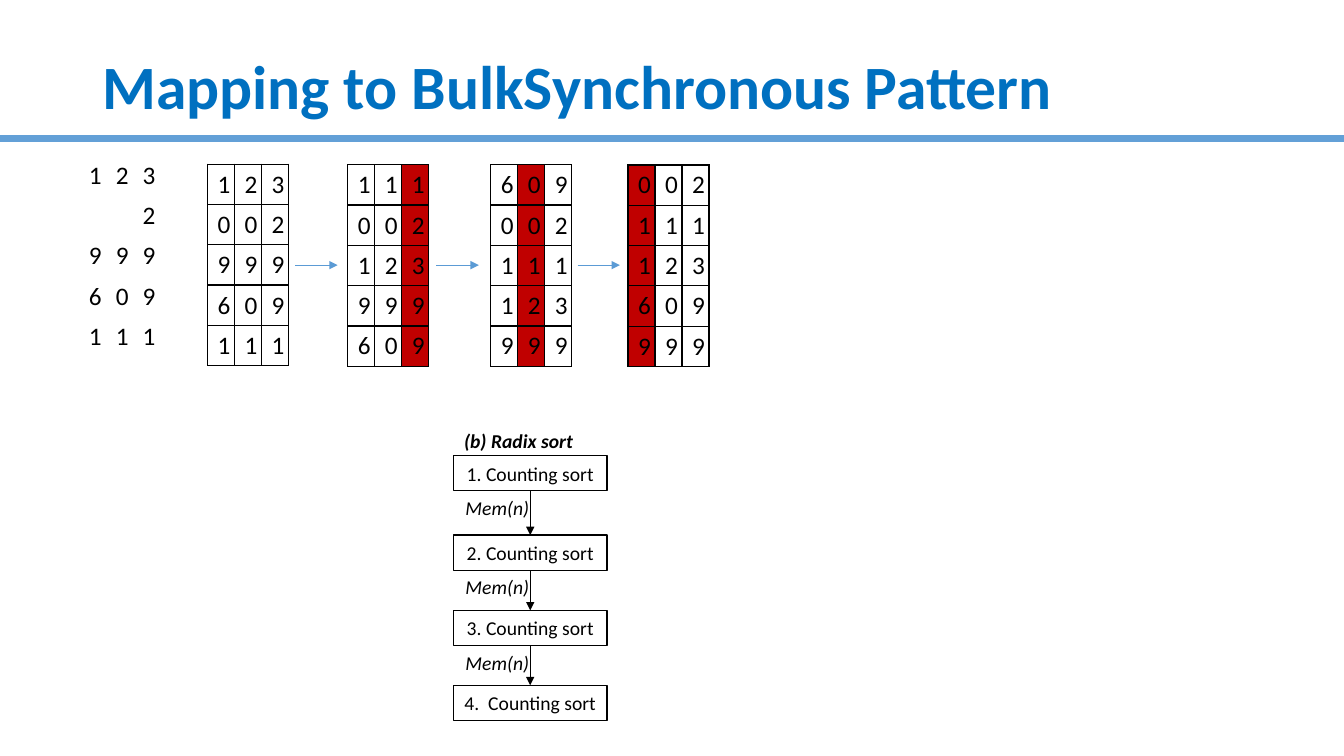
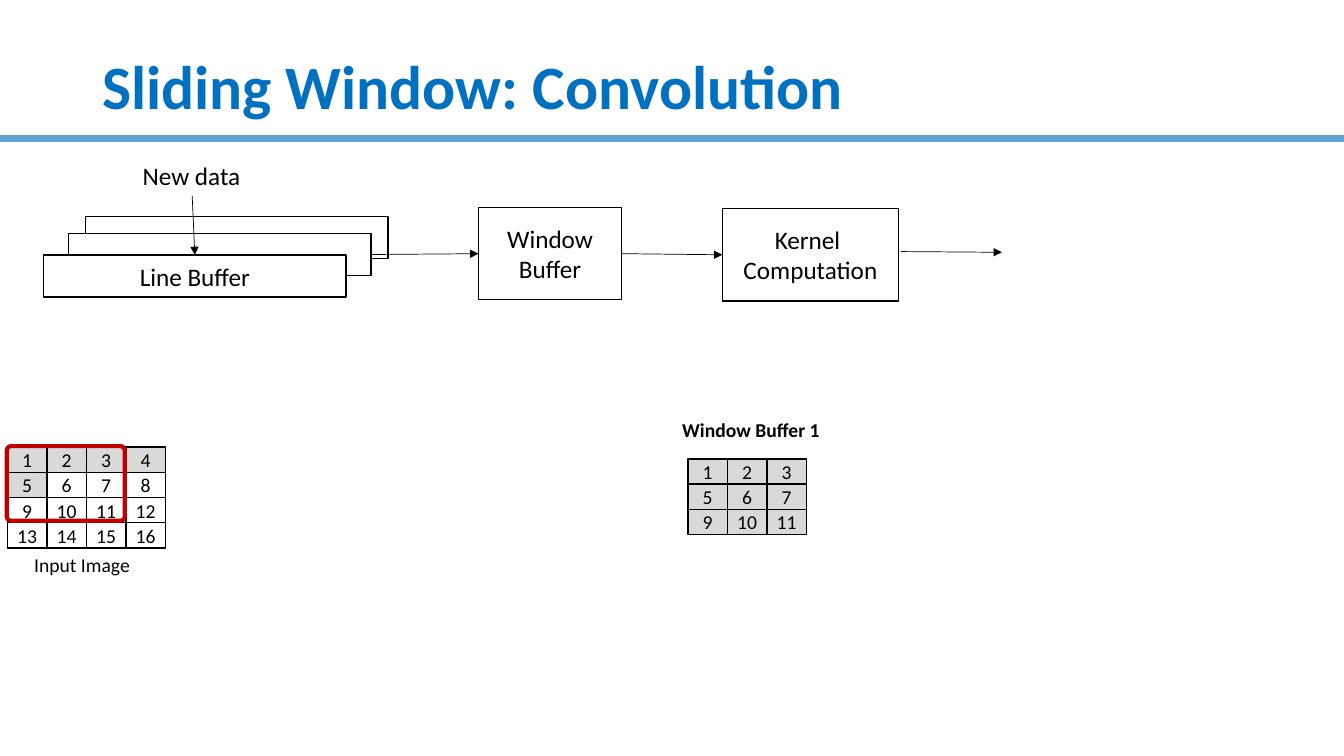
from pptx import Presentation
from pptx.dml.color import RGBColor
from pptx.enum import shapes, text
from pptx.oxml.ns import qn
from pptx.util import Pt
from lxml import etree

FONT = "Calibri"
BLACK, WHITE, GREY = "000000", "FFFFFF", "D9D9D9"
RED, BLUE, TITLE, BAND = "C00000", "5B9BD5", "0070C0", "63A0D7"
WIDTH, HEIGHT, BAND_Y = 960, 540, 99
RECT = shapes.MSO_SHAPE.RECTANGLE
TOP, LEFT, BOTTOM, RIGHT = range(4)

DIGIT_TABLES = [
    dict(rows=["123", "  2", "999", "609", "111"], x=56.2, y=110.9, borders=False),
    dict(rows=["123", "002", "999", "609", "111"], x=148.3, y=117.2),
    dict(rows=["111", "002", "123", "999", "609"], x=248.4, y=117.6, key=2),
    dict(rows=["609", "002", "111", "123", "999"], x=350.6, y=117.6, key=1),
    dict(rows=["002", "111", "123", "609", "999"], x=448.6, y=117.8, key=0),
]
DIGIT_W, DIGIT_H = 19.3, 28.8
ARROW_X, ARROW_STEP, ARROW_W, ARROW_Y = 211, 100.8, 30.2, 189.4

STEP_H = 25.2
STEPS = [
    ("1. Counting sort", 325.4),
    ("2. Counting sort", 382.2),
    ("3. Counting sort", 436),
    ("4.  Counting sort", 489.5),
]

LINE_BUFFERS = [("", 61.2, 154.6), ("", 49, 166.8), ("Line Buffer", 31.2, 182.2)]
IMAGE = [[1, 2, 3, 4], [5, 6, 7, 8], [9, 10, 11, 12], [13, 14, 15, 16]]
WINDOW = [row[:3] for row in IMAGE[:3]]
CELL_W, CELL_H = 28.2, 18


def rgb(value):
    return RGBColor.from_string(value)


def pts(*values):
    return [Pt(v) for v in values]


def style(p, size, color=BLACK, bold=False, italic=False):
    f = p.font
    f.name, f.size, f.bold, f.italic = FONT, Pt(size), bold, italic
    f.color.rgb = rgb(color)


def add_box(s, label, x, y, w, h, size=14, fill=None, line=BLACK, weight=1, kind=RECT):
    sp = s.shapes.add_shape(kind, *pts(x, y, w, h))
    sp.shadow.inherit = False
    if fill:
        sp.fill.solid()
        sp.fill.fore_color.rgb = rgb(fill)
    else:
        sp.fill.background()
    sp.line.color.rgb = rgb(line)
    sp.line.width = Pt(weight)
    tf = sp.text_frame
    tf.margin_left = tf.margin_right = tf.margin_top = tf.margin_bottom = 0
    tf.vertical_anchor = text.MSO_ANCHOR.MIDDLE
    tf.text = label
    for p in tf.paragraphs:
        p.alignment = text.PP_ALIGN.CENTER
        style(p, size)
    return sp


def add_label(s, label, x, y, w, h=24.5, size=14, **look):
    sp = s.shapes.add_textbox(*pts(x, y, w, h))
    tf = sp.text_frame
    tf.word_wrap = False
    tf.auto_size = text.MSO_AUTO_SIZE.SHAPE_TO_FIT_TEXT
    tf.text = label
    style(tf.paragraphs[0], size, **look)
    return sp


def add_line(s, x1, y1, x2, y2, color=BLACK, weight=0.5, arrow=True):
    c = s.shapes.add_connector(shapes.MSO_CONNECTOR.STRAIGHT, *pts(x1, y1, x2, y2))
    c.line.color.rgb = rgb(color)
    c.line.width = Pt(weight)
    if arrow:
        ln = c.element.spPr.find(qn("a:ln"))
        etree.SubElement(ln, qn("a:tailEnd"), type="triangle")
    etree.SubElement(c.element.spPr, qn("a:effectLst"))
    return c


def join(s, start, start_side, end, end_side, weight=0.5):
    c = add_line(s, 0, 0, 0, 0, weight=weight)
    c.begin_connect(start, start_side)
    c.end_connect(end, end_side)


def add_borders(cell):
    tc_pr = cell._tc.get_or_add_tcPr()
    for side in "LRTB":
        ln = etree.SubElement(tc_pr, qn(f"a:ln{side}"), w=str(Pt(1)))
        fill = etree.SubElement(ln, qn("a:solidFill"))
        etree.SubElement(fill, qn("a:srgbClr"), val=BLACK)


def add_digits(s, rows, x, y, key=None, borders=True):
    n_rows, n_cols = len(rows), len(rows[0])
    frame = s.shapes.add_table(n_rows, n_cols, *pts(x, y, n_cols * DIGIT_W, n_rows * DIGIT_H))
    table = frame.table
    table.first_row = table.horz_banding = False
    for col in table.columns:
        col.width = Pt(DIGIT_W)
    for i, row in enumerate(rows):
        table.rows[i].height = Pt(DIGIT_H)
        for j, digit in enumerate(row):
            cell = table.cell(i, j)
            cell.margin_right = cell.margin_bottom = 0
            cell.text = digit.strip()
            style(cell.text_frame.paragraphs[0], 18)
            if borders:
                add_borders(cell)
            if j == key:
                cell.fill.solid()
                cell.fill.fore_color.rgb = rgb(RED)
            else:
                cell.fill.background()


def add_cells(s, rows, x, y, last_grey):
    for i, row in enumerate(rows):
        for j, n in enumerate(row):
            add_box(s, str(n), x + j * CELL_W, y + i * CELL_H, CELL_W, CELL_H,
                    fill=GREY if n <= last_grey else WHITE)


def add_slide(prs, title):
    s = prs.slides.add_slide(prs.slide_layouts[5])
    sp = s.shapes.title
    sp.left, sp.top, sp.width, sp.height = pts(66, 29, 828, 70.6)
    tf = sp.text_frame
    tf.text = title
    tf.vertical_anchor = text.MSO_ANCHOR.MIDDLE
    p = tf.paragraphs[0]
    p.alignment = text.PP_ALIGN.LEFT
    p.line_spacing = 0.9
    style(p, 44, TITLE, bold=True)
    add_line(s, WIDTH, BAND_Y, 0, BAND_Y, BAND, 5, arrow=False)
    return s


def radix_slide(prs):
    s = add_slide(prs, "Mapping to BulkSynchronous Pattern")
    for table in DIGIT_TABLES:
        add_digits(s, **table)
    for i in range(3):
        x = ARROW_X + i * ARROW_STEP
        add_line(s, x, ARROW_Y, x + ARROW_W, ARROW_Y, BLUE)

    add_label(s, "(b) Radix sort", 324.4, 302.8, 93, bold=True, italic=True)
    boxes = [add_box(s, label, 324, y, 109.5, STEP_H) for label, y in STEPS]
    for upper, lower, (_, y) in zip(boxes, boxes[1:], STEPS):
        join(s, upper, BOTTOM, lower, TOP, weight=1)
        add_label(s, "Mem(n)", 325.4, y + STEP_H, 61, italic=True)


def window_slide(prs):
    s = add_slide(prs, "Sliding Window: Convolution")
    _, middle, front = [add_box(s, label, x, y, 216, 30, 18, WHITE)
                        for label, x, y in LINE_BUFFERS]
    window = add_box(s, "Window Buffer", 341.8, 148.2, 102.2, 66, 18, WHITE)
    window.text_frame.word_wrap = True
    kernel = add_box(s, "Kernel \nComputation", 516, 149, 125.8, 66, 18, WHITE)
    new_data = add_label(s, "New data", 94.8, 111.2, 85, 28.8, 18)
    join(s, new_data, BOTTOM, front, TOP)
    join(s, middle, RIGHT, window, LEFT)
    join(s, window, RIGHT, kernel, LEFT)
    add_line(s, 643.7, 179.7, 715.7, 180.2)

    add_cells(s, IMAGE, 5.3, 319.4, last_grey=5)
    add_label(s, "Input Image", 17.3, 391.7, 83.5)
    frame = add_box(s, "", 4.9, 318.7, 84.2, 53.3, line=RED, weight=3,
                    kind=shapes.MSO_SHAPE.ROUNDED_RECTANGLE)
    frame.adjustments[0] = 0.055
    add_cells(s, WINDOW, 491.4, 327.8, last_grey=11)
    add_label(s, "Window Buffer 1", 480.2, 295.2, 113.8, bold=True)


def main():
    prs = Presentation()
    prs.slide_width, prs.slide_height = pts(WIDTH, HEIGHT)
    radix_slide(prs)
    window_slide(prs)
    prs.save("out.pptx")


if __name__ == "__main__":
    main()
